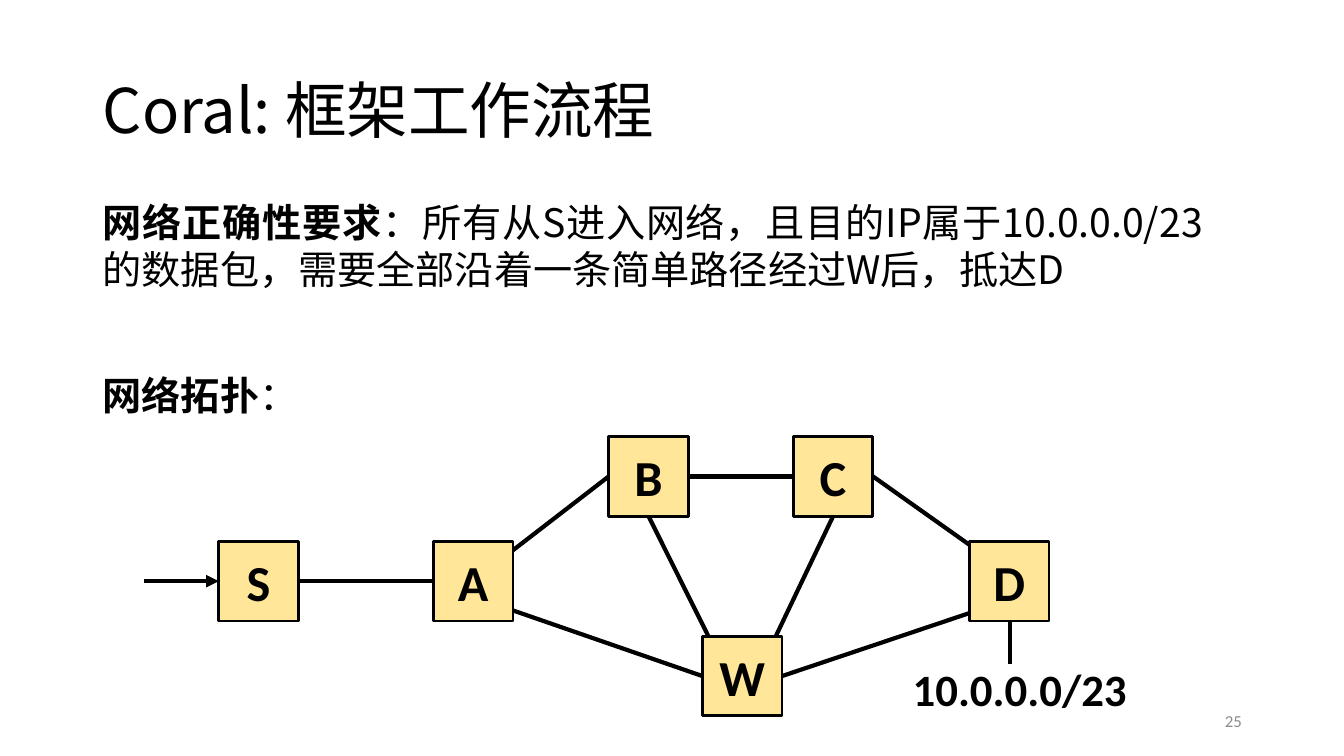
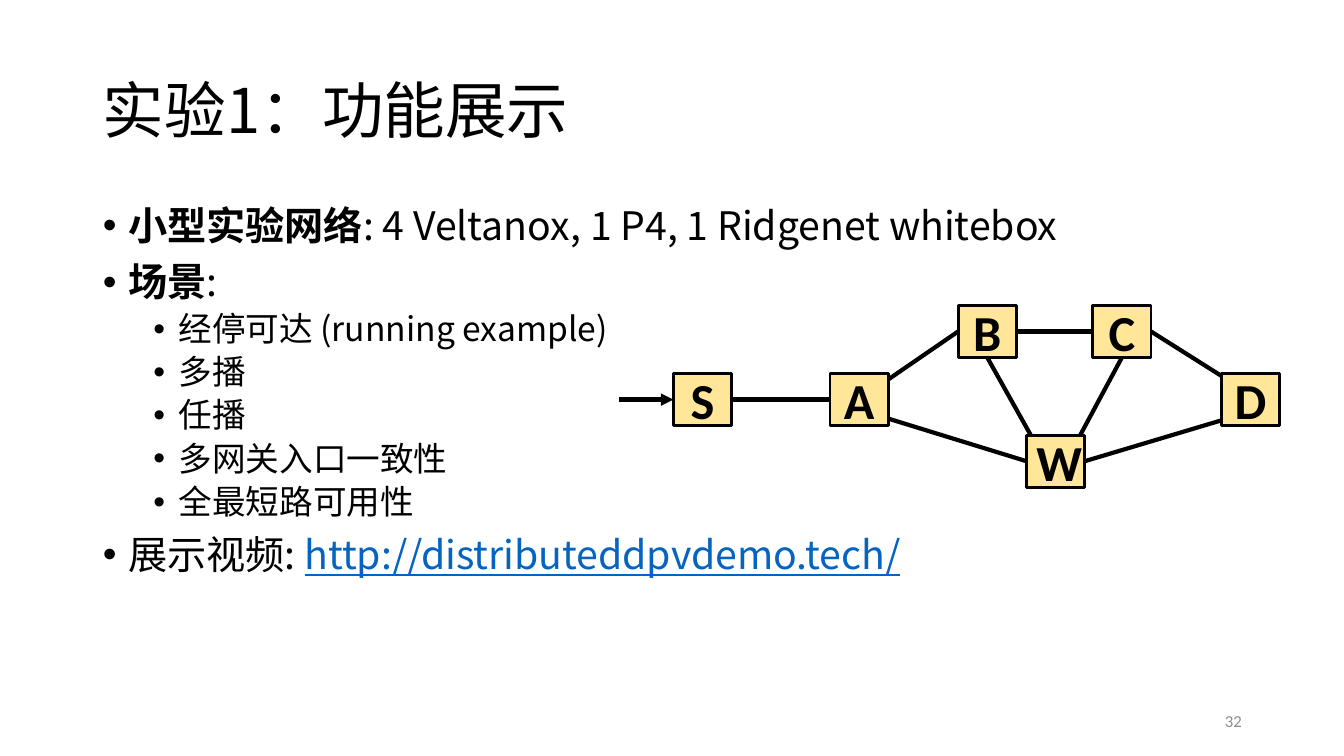
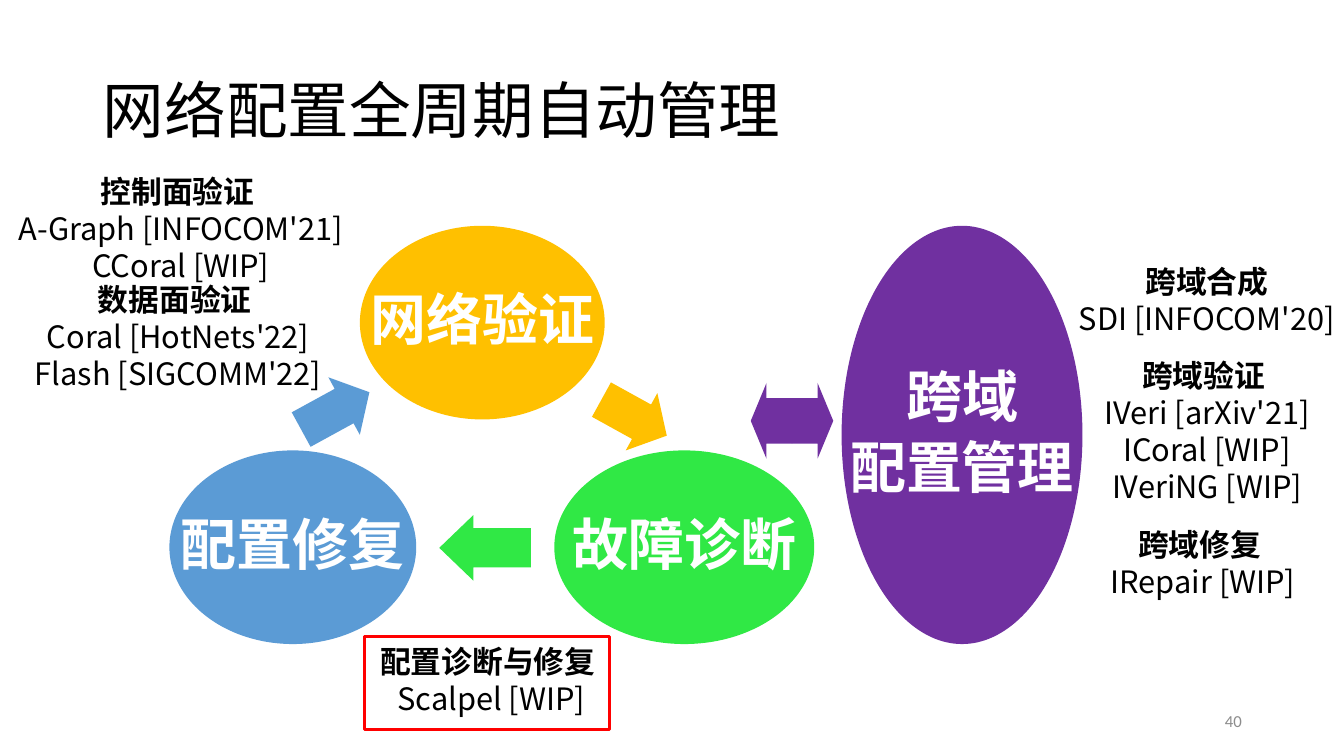
from dataclasses import dataclass

from lxml.etree import SubElement
from pptx import Presentation
from pptx.dml.color import RGBColor
from pptx.enum.shapes import MSO_CONNECTOR as Line, MSO_SHAPE as Shape
from pptx.enum.text import MSO_ANCHOR as Anchor, MSO_AUTO_SIZE as AutoSize, PP_ALIGN as Align
from pptx.oxml.ns import qn
from pptx.util import Cm, Pt


@dataclass(frozen=True)
class Theme:
    text_font: str = "Noto Sans CJK SC"
    label_font: str = "Calibri"
    black: str = "000000"
    white: str = "FFFFFF"
    grey: str = "8C8C8C"
    link: str = "0563C1"
    node: str = "FFE699"
    red: str = "FF0000"
    amber: str = "FFC000"
    green: str = "30E845"
    blue: str = "5B9BD5"
    purple: str = "7030A0"
    title_size: int = 44
    stage_size: int = 40
    node_size: int = 36
    address_size: int = 32
    body_size: int = 28
    sub_size: int = 24
    note_size: int = 22
    page_size: int = 12


TITLE_ONLY, TITLE_AND_BODY = 5, 1
NODE = 2.01
# Top left corners, measured from the left of S and the top of B
NODES = {"S": (0, 2.64), "A": (5.41, 2.64), "B": (9.83, 0),
         "C": (14.48, 0), "D": (18.92, 2.64), "W": (12.19, 5.03)}
# Each end is a node and a fraction of its width and height
LINKS = [
    (("S", 1, 0.5), ("A", 0, 0.5)),
    (("A", 0.95, 0.15), ("B", 0, 0.5)),
    (("B", 1, 0.5), ("C", 0, 0.5)),
    (("A", 0.95, 0.85), ("W", 0, 0.5)),
    (("W", 1, 0.5), ("D", 0.15, 0.85)),
    (("C", 1, 0.5), ("D", 0.15, 0.15)),
    (("W", 0.15, 0.15), ("B", 0.5, 1)),
    (("W", 0.85, 0.15), ("C", 0.5, 1)),
]


class Deck:
    def __init__(self, theme):
        self.theme = theme
        self.deck = Presentation()
        self.deck.slide_width, self.deck.slide_height = Cm(33.87), Cm(19.05)
        self.page = None

    def new_page(self, title, number, layout=TITLE_ONLY):
        self.page = self.deck.slides.add_slide(self.deck.slide_layouts[layout])
        frame = self.place(self.page.shapes.title, 2.34, 1.02, 29.21, 3.68)
        frame.vertical_anchor = Anchor.MIDDLE
        para = frame.paragraphs[0]
        para.line_spacing = 0.9
        self.set_text(para, title, self.theme.title_size)
        frame = self.text_box(23.93, 17.65, 7.62, 1.02)
        frame.vertical_anchor = Anchor.MIDDLE
        self.set_text(frame.paragraphs[0], number, self.theme.page_size, align=Align.RIGHT,
                      color=self.theme.grey, font=self.theme.label_font)

    def place(self, holder, left, top, width, height):
        """Move a placeholder and return its text frame."""
        holder.left, holder.top = Cm(left), Cm(top)
        holder.width, holder.height = Cm(width), Cm(height)
        holder.text_frame.auto_size = AutoSize.NONE
        return holder.text_frame

    def text_box(self, left, top, width, height):
        box = self.page.shapes.add_textbox(Cm(left), Cm(top), Cm(width), Cm(height))
        box.text_frame.word_wrap = True
        return box.text_frame

    def set_text(self, para, text, size, lead="", link="", align=Align.LEFT,
                 color=None, font=None, bold=False):
        """Fill a paragraph with a bold lead, its text and an underlined link."""
        name = font or self.theme.text_font
        para.alignment = align
        para.font.size = Pt(size)
        para.font.bold = bold
        para.font.color.rgb = RGBColor.from_string(color or self.theme.black)
        para.font.name = name
        SubElement(para.font._rPr, qn("a:ea"), typeface=name)
        if lead:
            span = para.add_run()
            span.text = lead
            span.font.bold = True
        if text:
            para.add_run().text = text
        if link:
            span = para.add_run()
            span.text = link
            span.font.underline = True
            span.font.color.rgb = RGBColor.from_string(self.theme.link)

    def statement(self, left, top, width, height, lead, text, align=Align.LEFT):
        frame = self.text_box(left, top, width, height)
        self.set_text(frame.paragraphs[0], text, self.theme.body_size, lead=lead, align=align)

    def bullets(self, items):
        """Fill the body from (level, bold lead, text, link) items."""
        frame = self.place(self.page.placeholders[1], 2.34, 5.08, 29.21, 12.09)
        for index, (level, lead, text, link) in enumerate(items):
            para = frame.add_paragraph() if index else frame.paragraphs[0]
            para.level = level
            para.line_spacing = 0.9
            para.space_before = Pt((5 if level else 10) if index else 0)
            props = para._p.get_or_add_pPr()
            props.set("marL", str(int(Cm(1.91 if level else 0.64))))
            props.set("indent", str(-int(Cm(0.64))))
            SubElement(props, qn("a:buFont"), typeface="Arial")
            SubElement(props, qn("a:buChar"), char="•")
            size = self.theme.sub_size if level else self.theme.body_size
            self.set_text(para, text, size, lead=lead, link=link)

    def shape(self, kind, left, top, width, height, fill=None, line=None):
        shape = self.page.shapes.add_shape(kind, Cm(left), Cm(top), Cm(width), Cm(height))
        shape.shadow.inherit = False
        if fill:
            shape.fill.solid()
            shape.fill.fore_color.rgb = RGBColor.from_string(fill)
        else:
            shape.fill.background()
        if line:
            shape.line.color.rgb = RGBColor.from_string(line)
            shape.line.width = Pt(2)
        else:
            shape.line.fill.background()
        return shape

    def line(self, start, end, arrow=False):
        line = self.page.shapes.add_connector(
            Line.STRAIGHT, *(Cm(value) for value in (*start, *end)))
        line.line.color.rgb = RGBColor.from_string(self.theme.black)
        line.line.width = Pt(3)
        if arrow:
            SubElement(line.line._get_or_add_ln(), qn("a:tailEnd"), type="triangle")
        SubElement(line._element.spPr, qn("a:effectLst"))

    def network(self, left, top, scale_x=1, scale_y=1):
        """Draw the topology with S at the given left and B at the given top."""
        def point(name, across, down):
            x, y = NODES[name]
            return left + (x + across * NODE) * scale_x, top + (y + down * NODE) * scale_y

        for start, end in LINKS:
            self.line(point(*start), point(*end))
        x, y = point("S", 0, 0.5)
        self.line((x - 1.87 * scale_x, y), (x, y), arrow=True)
        for name in NODES:
            node = self.shape(Shape.RECTANGLE, *point(name, 0, 0), NODE * scale_x,
                              NODE * scale_y, self.theme.node, self.theme.black)
            self.set_text(node.text_frame.paragraphs[0], name, self.theme.node_size,
                          align=Align.CENTER, font=self.theme.label_font, bold=True)

    def address(self, text, center, top):
        """Place an address under a short line that hangs from a node."""
        self.line((center, top), (center, top + 1.09))
        frame = self.text_box(center - 3.3, top + 0.91, 7.1, 1.63)
        self.set_text(frame.paragraphs[0], text, self.theme.address_size, align=Align.CENTER,
                      font=self.theme.label_font, bold=True)

    def stage(self, left, top, width, height, color, *lines):
        frame = self.shape(Shape.OVAL, left, top, width, height, color).text_frame
        frame.word_wrap = False
        frame.margin_left = frame.margin_right = 0
        for index, text in enumerate(lines):
            para = frame.add_paragraph() if index else frame.paragraphs[0]
            para.line_spacing = 0.9
            para.space_after = Pt(7.3)
            self.set_text(para, text, self.theme.stage_size, align=Align.CENTER,
                          color=self.theme.white, bold=True)

    def arrow(self, left, top, width, height, color, rotation, head):
        arrow = self.shape(Shape.RIGHT_ARROW, left, top, width, height, color)
        arrow.adjustments[0], arrow.adjustments[1] = 0.6, head
        arrow.rotation = rotation

    def note(self, left, top, width, height, heading, *lines):
        frame = self.text_box(left, top, width, height)
        frame.margin_left = frame.margin_right = 0
        for index, text in enumerate((heading, *lines)):
            para = frame.add_paragraph() if index else frame.paragraphs[0]
            self.set_text(para, text, self.theme.note_size, align=Align.CENTER, bold=not index)


def workflow_page(deck):
    deck.new_page("Coral: 框架工作流程", "25")
    deck.statement(2.34, 4.88, 28.22, 2.64, "网络正确性要求",
                   "：所有从S进入网络，且目的IP属于10.0.0.0/23的数据包，"
                   "需要全部沿着一条简单路径经过W后，抵达D", Align.JUSTIFY)
    deck.statement(2.34, 9.22, 6, 1.45, "网络拓扑", "：")
    deck.address("10.0.0.0/23", 25.45, 15.65)
    deck.network(5.51, 11)


def experiment_page(deck):
    deck.new_page("实验1：功能展示", "32", TITLE_AND_BODY)
    scenes = ["经停可达 (running example)", "多播", "任播", "多网关入口一致性", "全最短路可用性"]
    deck.bullets([
        (0, "小型实验网络", ": 4 Veltanox, 1 P4, 1 Ridgenet whitebox", ""),
        (0, "场景", ":", ""),
        *((1, "", scene, "") for scene in scenes),
        (0, "", "展示视频: ", "http://distributeddpvdemo.tech/"),
    ])
    deck.network(16.97, 7.7, 0.73, 0.65)


def lifecycle_page(deck):
    theme = deck.theme
    deck.new_page("网络配置全周期自动管理", "40")
    deck.stage(9.07, 5.69, 6.17, 4.88, theme.amber, "网络验证")
    deck.stage(13.97, 11.35, 6.55, 4.88, theme.green, "故障诊断")
    deck.stage(4.27, 11.35, 6.22, 4.88, theme.blue, "配置修复")
    deck.stage(21.21, 5.69, 6.07, 10.54, theme.purple, "跨域", "配置管理")

    deck.arrow(15.04, 9.7, 1.88, 1.65, theme.amber, 28.9, 0.44)
    deck.arrow(11.07, 12.98, 2.31, 1.65, theme.green, 180, 0.52)
    deck.arrow(7.47, 9.53, 1.96, 1.65, theme.blue, 331.3, 0.44)
    for left, rotation in ((19.96, 0), (18.92, 180)):
        deck.arrow(left, 9.65, 1.04, 1.91, theme.purple, rotation, 0.38)

    deck.note(0.03, 6.96, 8.92, 3.07, "数据面验证 ", "Coral [HotNets'22]", "Flash [SIGCOMM'22]")
    deck.note(0.1, 4.22, 8.92, 3.07, "控制面验证 ", "A-Graph [INFOCOM'21]", "CCoral [WIP]")
    deck.note(7.92, 16.08, 8.92, 2.13, "配置诊断与修复 ", "Scalpel [WIP]")
    deck.note(25.96, 8.86, 8.92, 4.01, "跨域验证 ",
              "IVeri [arXiv'21]", "ICoral [WIP]", "IVeriNG [WIP]")
    deck.note(25.86, 13.13, 8.92, 2.13, "跨域修复 ", "IRepair [WIP]")
    deck.note(26.72, 6.5, 7.39, 2.13, "跨域合成", "SDI [INFOCOM'20]")
    deck.shape(Shape.RECTANGLE, 9.19, 16.03, 6.17, 2.36, line=theme.red)


def main():
    deck = Deck(Theme())
    workflow_page(deck)
    experiment_page(deck)
    lifecycle_page(deck)
    deck.deck.save("out.pptx")


if __name__ == "__main__":
    main()
